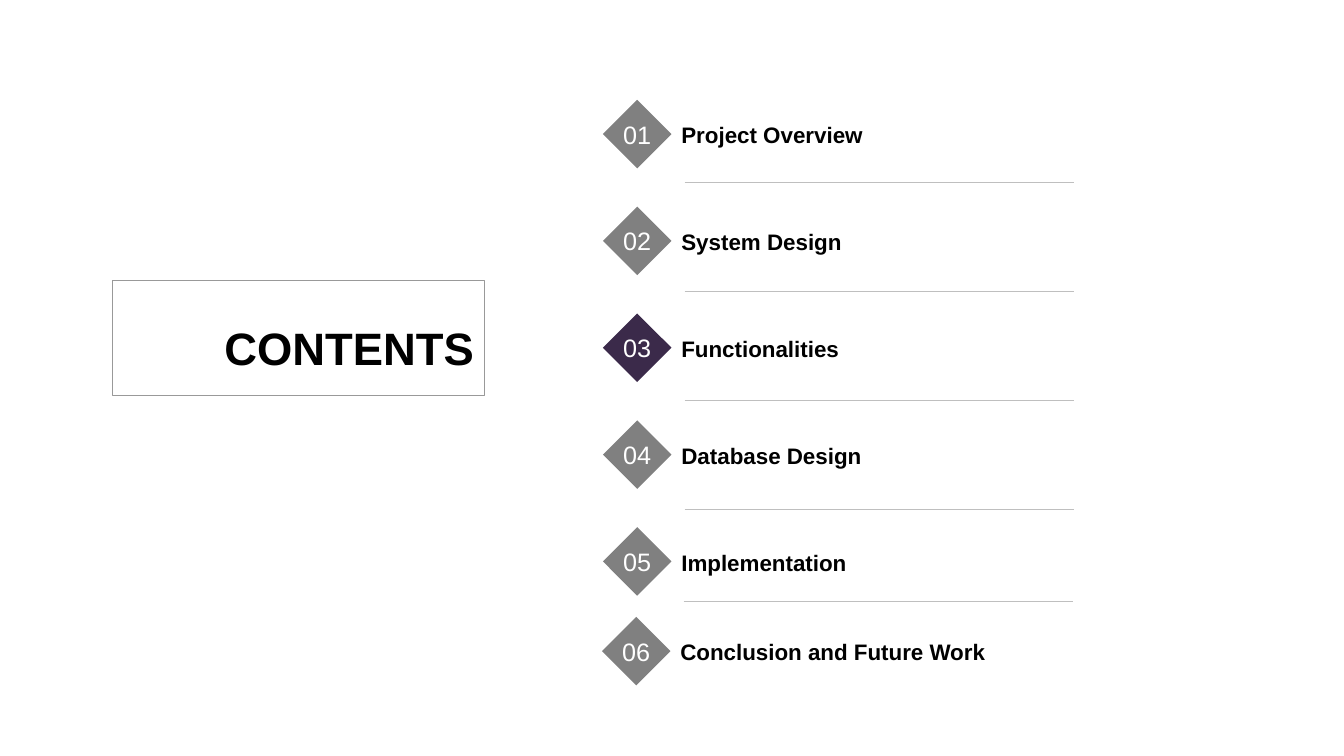
from lxml import etree
from pptx import Presentation
from pptx.dml.color import RGBColor
from pptx.enum.shapes import MSO_CONNECTOR, MSO_SHAPE
from pptx.enum.text import MSO_ANCHOR, MSO_AUTO_SIZE, PP_ALIGN
from pptx.oxml.ns import qn
from pptx.util import Inches, Pt

DIAMOND, RECTANGLE = MSO_SHAPE.DIAMOND, MSO_SHAPE.RECTANGLE
STRAIGHT = MSO_CONNECTOR.STRAIGHT
LEFT, CENTER, RIGHT = PP_ALIGN.LEFT, PP_ALIGN.CENTER, PP_ALIGN.RIGHT
TOP, MIDDLE = MSO_ANCHOR.TOP, MSO_ANCHOR.MIDDLE
GROW = MSO_AUTO_SIZE.SHAPE_TO_FIT_TEXT

COLORS = {"text": "000000", "number": "FFFFFF", "marker": "808080",
          "current": "3B2A4A", "frame": "999999", "rule": "BFBFBF"}
FONT = "Arial"

TOPICS = ["Project Overview", "System Design", "Functionalities",
          "Database Design", "Implementation", "Conclusion and Future Work"]
CURRENT = 3

# Agenda grid, in inches
ROW_PITCH, RULE_PITCH = 1.06, 1.08
MARKER_SIZE = 0.68
LABEL_WIDTH, LABEL_HEIGHT = 4.07, 0.37
RULE_INDENT, RULE_WIDTH, RULE_DROP = 0.81, 3.86, 0.82
LAST_LEFT_SHIFT, LAST_ROW_DROP, LAST_RULE_DROP = -0.01, 5.13, 4.97


def color(name):
    return RGBColor.from_string(COLORS[name])


def write(shape, text, size, ink="text", bold=False, align=LEFT, anchor=TOP, wrap=True):
    frame = shape.text_frame
    frame.word_wrap = wrap
    frame.vertical_anchor = anchor
    paragraph = frame.paragraphs[0]
    paragraph.alignment = align
    run = paragraph.add_run()
    run.text = text
    run.font.name = FONT
    run.font.size = Pt(size)
    run.font.bold = bold
    run.font.color.rgb = color(ink)
    return frame


def add_shape(slide, kind, left, top, width, height, fill=None, line=None):
    shape = slide.shapes.add_shape(kind, Inches(left), Inches(top), Inches(width), Inches(height))
    shape.shadow.inherit = False
    if fill:
        shape.fill.solid()
        shape.fill.fore_color.rgb = color(fill)
    else:
        shape.fill.background()
    if line:
        shape.line.color.rgb = color(line)
        shape.line.width = Pt(0.25)
    else:
        shape.line.fill.background()
    return shape


def add_rule(slide, left, top, width):
    rule = slide.shapes.add_connector(
        STRAIGHT, Inches(left), Inches(top), Inches(left + width), Inches(top))
    rule.line.color.rgb = color("rule")
    rule.line.width = Pt(0.25)
    etree.SubElement(rule._element.spPr, qn("a:effectLst"))


def add_title(slide, left, top, width, height):
    box = add_shape(slide, RECTANGLE, left, top, width, height, line="frame")
    frame = write(box, "CONTENTS", 32.4, bold=True, align=RIGHT)
    frame.margin_top = Inches(0.4)


def add_topic(slide, left, top, number, topic):
    # Numbered diamond
    fill = "current" if number == CURRENT else "marker"
    marker = add_shape(slide, DIAMOND, left, top, MARKER_SIZE, MARKER_SIZE, fill=fill)
    frame = write(marker, f"{number:02d}", 18, ink="number",
                  align=CENTER, anchor=MIDDLE, wrap=False)
    frame.margin_left = frame.margin_right = frame.margin_top = frame.margin_bottom = 0

    # Topic name, centred on the diamond
    label_top = top + (MARKER_SIZE - LABEL_HEIGHT) / 2 + 0.01
    label = slide.shapes.add_textbox(Inches(left + MARKER_SIZE), Inches(label_top),
                                     Inches(LABEL_WIDTH), Inches(LABEL_HEIGHT))
    write(label, topic, 16, bold=True).auto_size = GROW


def add_agenda(slide, left, top):
    last = len(TOPICS) - 1
    for index, topic in enumerate(TOPICS):
        # The last row sits closer to the one above it
        is_last = index == last
        row_left = left + (LAST_LEFT_SHIFT if is_last else 0)
        row_drop = LAST_ROW_DROP if is_last else index * ROW_PITCH
        add_topic(slide, row_left, top + row_drop, index + 1, topic)

        # Rule above every row but the first
        if index:
            rule_drop = LAST_RULE_DROP if is_last else RULE_DROP + (index - 1) * RULE_PITCH
            add_rule(slide, row_left + RULE_INDENT, top + rule_drop, RULE_WIDTH)


def main():
    presentation = Presentation()
    presentation.slide_width = Inches(13.33)
    presentation.slide_height = Inches(7.5)
    slide = presentation.slides.add_slide(presentation.slide_layouts[6])
    add_title(slide, 1.11, 2.78, 3.69, 1.14)
    add_agenda(slide, 5.98, 0.99)
    presentation.save("out.pptx")


if __name__ == "__main__":
    main()
